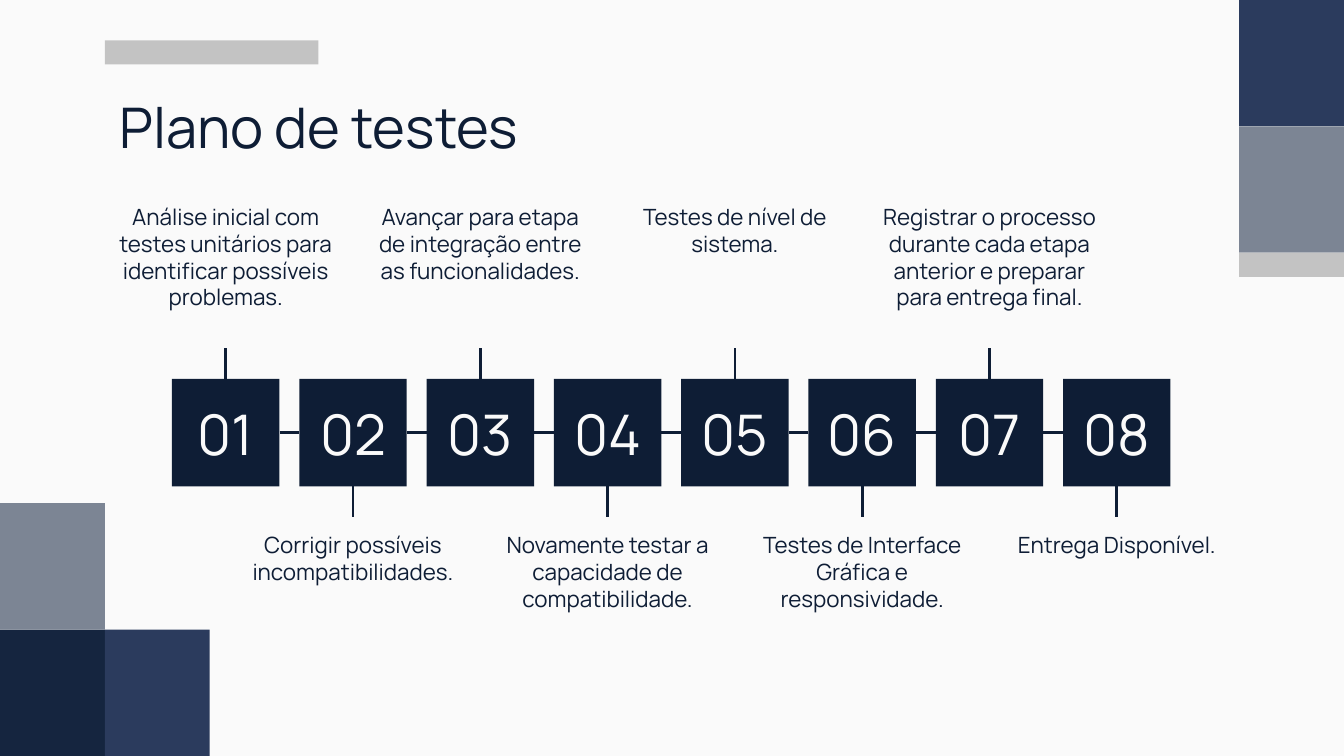
import pptx
import pptx.util
import pptx.dml.color
import pptx.enum.shapes
import pptx.enum.text
import pptx.oxml.ns
from dataclasses import dataclass
from lxml import etree

Inches = pptx.util.Inches


@dataclass(frozen=True)
class Theme:
    paper: str = "FAFAFA"
    ink: str = "0E1D35"
    night: str = "15253F"
    navy: str = "2B3B5D"
    slate: str = "7C8594"
    silver: str = "C3C3C3"
    font: str = "Manrope"
    large: int = 30
    small: int = 12
    line: float = 1.5


THEME = Theme()
STEPS = [
    "Análise inicial com testes unitários para identificar possíveis problemas.",
    "Corrigir possíveis incompatibilidades.",
    "Avançar para etapa de integração entre as funcionalidades.",
    "Novamente testar a capacidade de compatibilidade.",
    "Testes de nível de sistema.",
    "Testes de Interface Gráfica e responsividade.",
    "Registrar o processo durante cada etapa anterior e preparar para entrega final.",
    "Entrega Disponível.",
]


def color(value):
    return pptx.dml.color.RGBColor.from_string(value)


def block(slide, box, fill):
    shape = slide.shapes.add_shape(
        pptx.enum.shapes.MSO_SHAPE.RECTANGLE, *map(Inches, box))
    shape.shadow.inherit = False
    shape.fill.solid()
    shape.fill.fore_color.rgb = color(fill)
    shape.line.fill.background()
    return shape


def write(shape, text, size, ink, center=True, middle=False):
    frame = shape.text_frame
    frame.word_wrap = True
    frame.margin_left = frame.margin_right = Inches(0.1)
    frame.margin_top = frame.margin_bottom = Inches(0.1)
    anchor = pptx.enum.text.MSO_ANCHOR
    frame.vertical_anchor = anchor.MIDDLE if middle else anchor.TOP
    frame.text = text
    para = frame.paragraphs[0]
    align = pptx.enum.text.PP_ALIGN
    para.alignment = align.CENTER if center else align.LEFT
    font = para.runs[0].font
    font.name = THEME.font
    font.size = pptx.util.Pt(size)
    font.color.rgb = color(ink)


def label(slide, box, text, size, center=True):
    shape = slide.shapes.add_textbox(*map(Inches, box))
    write(shape, text, size, THEME.ink, center)


def link(slide, *ends):
    line = slide.shapes.add_connector(
        pptx.enum.shapes.MSO_CONNECTOR.STRAIGHT, *map(Inches, ends))
    line.line.color.rgb = color(THEME.ink)
    line.line.width = pptx.util.Pt(THEME.line)
    etree.SubElement(line._element.spPr, pptx.oxml.ns.qn("a:effectLst"))


def decor(slide, box):
    """Place the colour blocks in the corners of the box."""
    left, top, width, height = box
    wide, tall, thin = 0.78, 0.94, 0.18
    right, base = left + width - wide, top + height - tall
    for x, y, w, h, fill in [
        (left, base, wide, tall, THEME.night),
        (left, base - tall, wide, tall, THEME.slate),
        (left + wide, base, wide, tall, THEME.navy),
        (right, top, wide, tall, THEME.navy),
        (right, top + tall, wide, tall, THEME.slate),
        (right, top + 2 * tall, wide, thin, THEME.silver),
        (left + wide, top + 0.3, 1.59, thin, THEME.silver),
    ]:
        block(slide, (x, y, w, h), fill)


def chain(slide, box, steps):
    """Place numbered squares across the box, notes above and below in turn."""
    left, top, width, height = box
    side, stem, wide, tall = 0.8, 0.23, 1.81, 1.18
    pitch = (width - side) / (len(steps) - 1)
    row = top + (height - side) / 2
    for i, step in enumerate(steps):
        x = left + i * pitch
        mid = x + side / 2
        if i % 2:
            note, start = top + height - tall, row + side
        else:
            note, start = top, row - stem
        label(slide, (mid - wide / 2, note, wide, tall), step, THEME.small)
        link(slide, mid, start, mid, start + stem)
        if i:
            link(slide, x - pitch + side, row + side / 2, x, row + side / 2)
        square = block(slide, (x, row, side, side), THEME.ink)
        write(square, f"{i + 1:02}", THEME.large, THEME.paper, middle=True)


def main():
    deck = pptx.Presentation()
    deck.slide_width = Inches(10)
    deck.slide_height = Inches(10 * 9 / 16)
    slide = deck.slides.add_slide(deck.slide_layouts[6])
    slide.background.fill.solid()
    slide.background.fill.fore_color.rgb = color(THEME.paper)
    decor(slide, (0, 0, 10, 10 * 9 / 16))
    label(slide, (0.79, 0.59, 8.43, 0.63), "Plano de testes", THEME.large, False)
    chain(slide, (1.28, 1.41, 7.43, 3.62), STEPS)
    deck.save("out.pptx")


if __name__ == "__main__":
    main()
